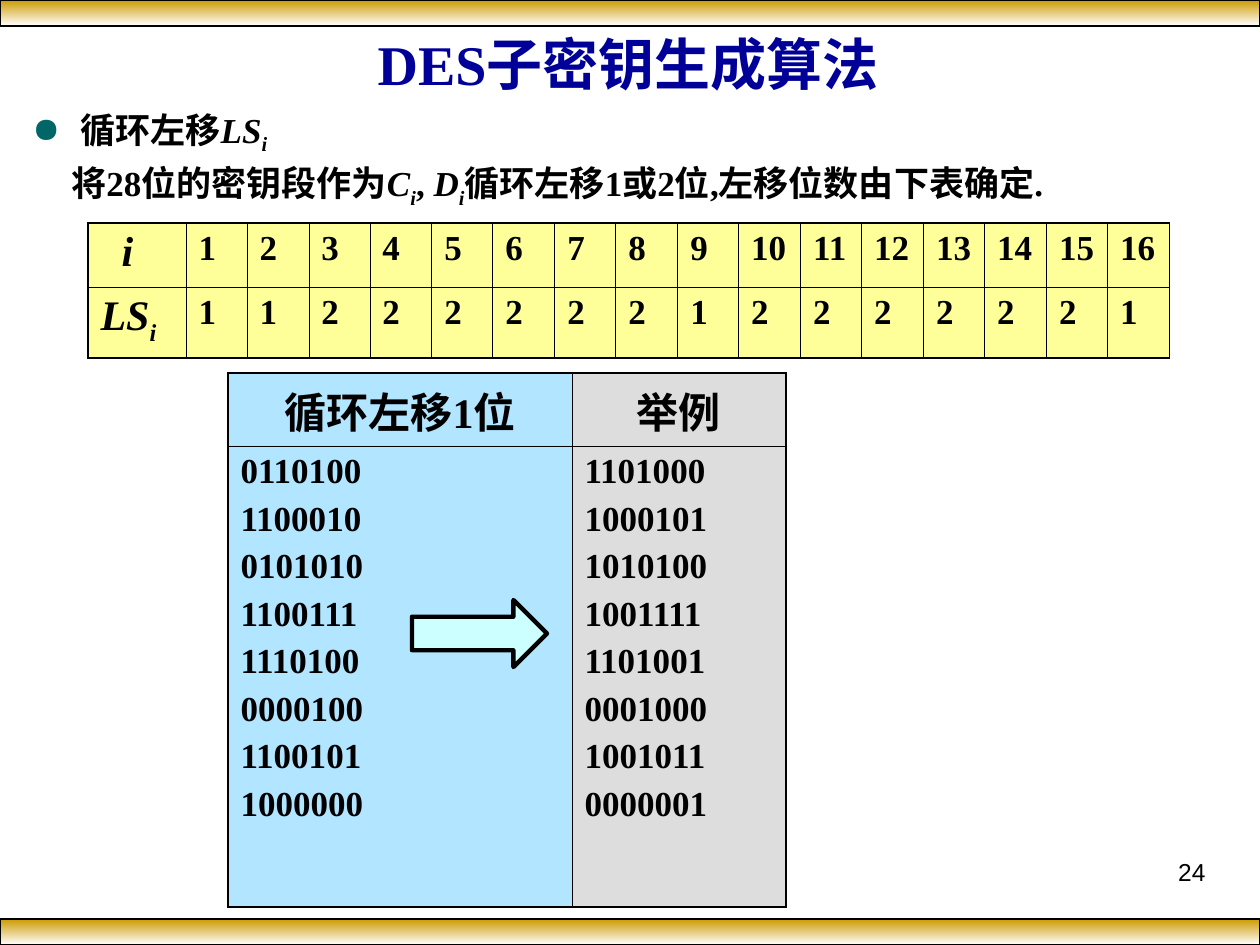
from lxml import etree
from pptx import Presentation
from pptx import util as u
from pptx.dml.color import RGBColor
from pptx.enum import shapes, text
from pptx.oxml.ns import qn

SCALE = 914400 / 126
SERIF = "Times New Roman"
HEX = {
    "ink": "000000", "gold": "CC9900", "white": "FFFFFF", "title": "000099",
    "dot": "006666", "shift": "FFFF99", "left": "66CCFF", "right": "DDDDDD",
    "arrow": "CCFFFF",
}
THIN, THICK = 0.45, 1.08
SHIFTS = [1, 1, 2, 2, 2, 2, 2, 2, 1, 2, 2, 2, 2, 2, 2, 1]
BEFORE = ["0110100", "1100010", "0101010", "1100111",
          "1110100", "0000100", "1100101", "1000000"]


def px(n):
    return u.Emu(round(n * SCALE))


def rgb(name):
    return RGBColor.from_string(HEX[name])


def rotate(bits):
    """Move the first bit to the end."""
    return bits[1:] + bits[0]


def write(para, parts, size, color="ink", face=SERIF, bold=True):
    """Add runs; each part is (words, style), style holding i and/or s for subscript."""
    for words, style in parts:
        run = para.add_run()
        run.text = words
        font = run.font
        font.name, font.size, font.bold = face, u.Pt(size), bold
        font.italic = "i" in style
        font.color.rgb = rgb(color)
        if "s" in style:
            run._r.get_or_add_rPr().set("baseline", "-25000")


def indent(para, left, first=0):
    props = para._p.get_or_add_pPr()
    props.set("marL", str(px(left)))
    props.set("indent", str(px(first)))
    return props


def bullet(para):
    props = indent(para, 48, -48)
    color = etree.SubElement(props, qn("a:buClr"))
    etree.SubElement(color, qn("a:srgbClr")).set("val", HEX["dot"])
    etree.SubElement(props, qn("a:buChar")).set("char", "●")


def box(slide, x, y, w, h):
    frame = slide.shapes.add_textbox(px(x), px(y), px(w), px(h)).text_frame
    frame.word_wrap = True
    return frame


def shape(slide, kind, x, y, w, h, line):
    item = slide.shapes.add_shape(kind, px(x), px(y), px(w), px(h))
    item.shadow.inherit = False
    item.line.color.rgb = rgb("ink")
    item.line.width = u.Pt(line)
    return item


def band(slide, y):
    fill = shape(slide, shapes.MSO_SHAPE.RECTANGLE, 0, y, 1260, 26, 0.75).fill
    fill.gradient()
    fill.gradient_angle = 270
    for stop, name in zip(fill.gradient_stops, ("gold", "white")):
        stop.color.rgb = rgb(name)


def grid(slide, x, y, cols, rows):
    frame = slide.shapes.add_table(len(rows), len(cols), px(x), px(y),
                                   px(sum(cols)), px(sum(rows)))
    table = frame.table
    table.first_row = table.horz_banding = False
    for col, w in zip(table.columns, cols):
        col.width = px(w)
    for row, h in zip(table.rows, rows):
        row.height = px(h)
    return table


def paint(cell, name, alpha=None):
    cell.fill.solid()
    cell.fill.fore_color.rgb = rgb(name)
    if alpha:
        color = cell._tc.tcPr.find(".//" + qn("a:srgbClr"))
        etree.SubElement(color, qn("a:alpha")).set("val", str(alpha * 1000))


def rule(table):
    """Thick lines around the table, thin ones inside."""
    last_r, last_c = len(table.rows) - 1, len(table.columns) - 1
    for r in range(last_r + 1):
        for c in range(last_c + 1):
            outer = {"lnL": c == 0, "lnR": c == last_c,
                     "lnT": r == 0, "lnB": r == last_r}
            props = table.cell(r, c)._tc.get_or_add_tcPr()
            for i, (tag, edge) in enumerate(outer.items()):
                line = etree.Element(qn("a:" + tag))
                line.set("w", str(u.Pt(THICK if edge else THIN)))
                fill = etree.SubElement(line, qn("a:solidFill"))
                etree.SubElement(fill, qn("a:srgbClr")).set("val", HEX["ink"])
                props.insert(i, line)


def heading(slide):
    frame = box(slide, 40, 24, 1177, 78)
    frame.vertical_anchor = text.MSO_ANCHOR.MIDDLE
    para = frame.paragraphs[0]
    para.alignment = text.PP_ALIGN.CENTER
    write(para, [("DES子密钥生成算法", "")], 32, "title")


def body(slide):
    frame = box(slide, 20, 102, 1171, 159)
    para = frame.paragraphs[0]
    bullet(para)
    write(para, [("循环左移", ""), ("LS", "i"), ("i", "is")], 20)
    para = frame.add_paragraph()
    indent(para, 39)
    para.space_before = u.Pt(3)
    write(para, [("将28位的密钥段作为", ""), ("C", "i"), ("i", "is"), (", ", ""),
                 ("D", "i"), ("i", "is"),
                 ("循环左移1或2位,左移位数由下表确定.", "")], 20)


def shift_table(slide):
    table = grid(slide, 88, 223, [98] + [61, 62] * 8, [64, 71])
    heads = ([("i", "i")], [("LS", "i"), ("i", "is")])
    for r, values in enumerate((range(1, 17), SHIFTS)):
        write(table.cell(r, 0).text_frame.paragraphs[0], heads[r], 24)
        for c, value in enumerate(values, 1):
            write(table.cell(r, c).text_frame.paragraphs[0], [(str(value), "")], 20)
    indent(table.cell(0, 0).text_frame.paragraphs[0], 21)
    for cell in table.iter_cells():
        paint(cell, "shift")
    rule(table)


def sample_table(slide):
    table = grid(slide, 228, 373, [344, 214], [73, 461])
    columns = [("循环左移1位", BEFORE, "left", 50),
               ("举例", [rotate(bits) for bits in BEFORE], "right", None)]
    for c, (head, lines, color, alpha) in enumerate(columns):
        top, low = table.cell(0, c), table.cell(1, c)
        para = top.text_frame.paragraphs[0]
        para.alignment = text.PP_ALIGN.CENTER
        write(para, [(head, "")], 24)
        frame = low.text_frame
        for i, bits in enumerate(lines):
            para = frame.add_paragraph() if i else frame.paragraphs[0]
            if i:
                para.space_before = u.Pt(5)
            indent(para, 53, -53)
            write(para, [(bits, "")], 20)
        for cell in (top, low):
            paint(cell, color, alpha)
    rule(table)


def arrow(slide):
    item = shape(slide, shapes.MSO_SHAPE.RIGHT_ARROW, 412, 600, 135, 67, 2.5)
    item.fill.solid()
    item.fill.fore_color.rgb = rgb("arrow")


def number(slide):
    para = box(slide, 903, 851, 315, 65).paragraphs[0]
    para.alignment = text.PP_ALIGN.RIGHT
    write(para, [("24", "")], 14, face="Arial", bold=False)


def main():
    deck = Presentation()
    deck.slide_width, deck.slide_height = px(1260), px(945)
    slide = deck.slides.add_slide(deck.slide_layouts[6])
    for y in (0, 919):
        band(slide, y)
    number(slide)
    heading(slide)
    body(slide)
    shift_table(slide)
    sample_table(slide)
    arrow(slide)
    deck.save("out.pptx")


if __name__ == "__main__":
    main()
